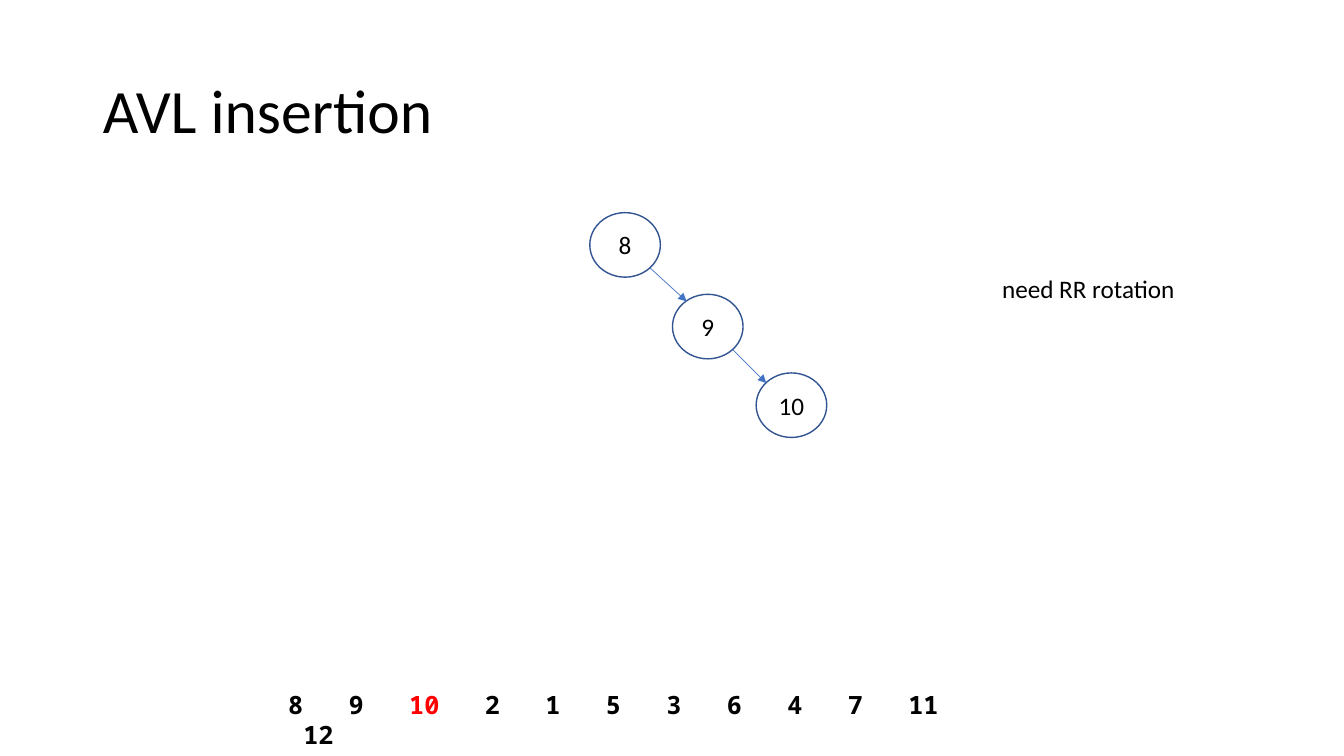
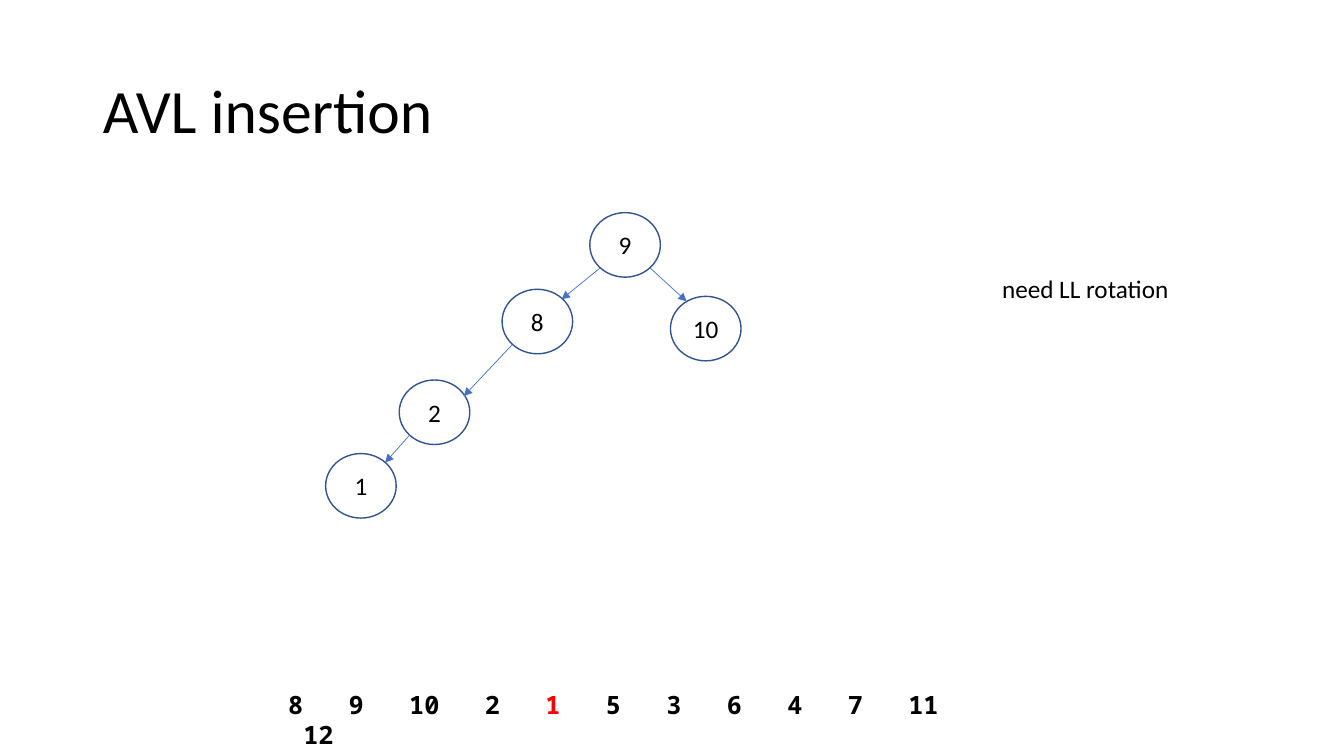
"""Build two slides that show the rotations needed during AVL insertion."""
from lxml.etree import SubElement
from pptx import Presentation
from pptx.dml.color import RGBColor
from pptx.enum.shapes import MSO_CONNECTOR, MSO_SHAPE
from pptx.enum.text import MSO_ANCHOR, MSO_AUTO_SIZE, PP_ALIGN
from pptx.oxml.ns import qn
from pptx.util import Inches, Pt

BLACK = RGBColor(0x00, 0x00, 0x00)
RED = RGBColor(0xFF, 0x00, 0x00)
OUTLINE = RGBColor(0x32, 0x54, 0x91)
ARROW = RGBColor(0x44, 0x72, 0xC4)
BODY_FONT = "Calibri"
CODE_FONT = "Noto Sans Mono"

NODE_W, NODE_H = 0.7, 0.64
EDGE_DX, EDGE_DY = 0.25, 0.23
CHAR_W = 0.15
GAP_CHARS = 3
FIRST_ROW = ["8", "9", "10", "2", "1", "5", "3", "6", "4", "7", "11"]
LAST_KEY = "12"

STEPS = [
    {
        "inserted": "10",
        "rotation": "need RR rotation",
        "nodes": {"8": (5.85, 2.11), "9": (6.67, 2.92), "10": (7.5, 3.7)},
        "arrows": [("8", (6.81, 2.99)), ("9", (7.6, 3.8))],
    },
    {
        "inserted": "1",
        "rotation": "need LL rotation",
        "nodes": {"9": (5.85, 2.11), "8": (4.98, 2.87), "10": (6.65, 2.94),
                  "2": (3.96, 3.77), "1": (3.23, 4.5)},
        "arrows": [("9", (6.81, 2.99)), ("9", (5.57, 2.97)),
                   ("8", (4.6, 3.93)), ("2", (3.82, 4.59))],
    },
]


def style_runs(paragraph, size=18, name=BODY_FONT, bold=False):
    for run in paragraph.runs:
        run.font.size = Pt(size)
        run.font.name = name
        run.font.bold = bold
        run.font.color.rgb = BLACK


def add_text_box(slide, left, top, width, height):
    frame = slide.shapes.add_textbox(
        Inches(left), Inches(top), Inches(width), Inches(height)).text_frame
    frame.word_wrap = True
    return frame


prs = Presentation()
prs.slide_width, prs.slide_height = Inches(13.33), Inches(7.5)
title_only = prs.slide_layouts[5]
layout_title = title_only.placeholders[0]
layout_title.left, layout_title.top = Inches(0.92), Inches(0.4)
layout_title.width, layout_title.height = Inches(11.5), Inches(1.45)

for step in STEPS:
    slide = prs.slides.add_slide(title_only)

    heading = slide.shapes.title.text_frame
    heading.text = "AVL insertion"
    heading.vertical_anchor = MSO_ANCHOR.MIDDLE
    heading.auto_size = MSO_AUTO_SIZE.NONE
    heading.paragraphs[0].alignment = PP_ALIGN.LEFT
    heading.paragraphs[0].line_spacing = 0.9
    style_runs(heading.paragraphs[0], 44)

    sequence = add_text_box(slide, 2.76, 6.79, 6.81, 0.4)
    first_row = sequence.paragraphs[0]
    tab_stops = SubElement(first_row._p.get_or_add_pPr(), qn("a:tabLst"))
    position = 0
    for index, key in enumerate(FIRST_ROW):
        if index:
            SubElement(tab_stops, qn("a:tab"),
                       pos=str(Inches(position)), algn="l")
            first_row.add_run().text = "\t"
        first_row.add_run().text = key
        position += (len(key) + GAP_CHARS) * CHAR_W
    last_row = sequence.add_paragraph()
    last_row.text = LAST_KEY
    last_row._p.get_or_add_pPr().set("marL", str(Inches(CHAR_W)))
    for row in sequence.paragraphs:
        style_runs(row, name=CODE_FONT, bold=True)
        for run in row.runs:
            if run.text == step["inserted"]:
                run.font.color.rgb = RED

    for key, (left, top) in step["nodes"].items():
        node = slide.shapes.add_shape(
            MSO_SHAPE.OVAL, Inches(left), Inches(top),
            Inches(NODE_W), Inches(NODE_H))
        node.shadow.inherit = False
        node.fill.background()
        node.line.color.rgb = OUTLINE
        node.line.width = Pt(1)
        label = node.text_frame
        label.text = key
        label.vertical_anchor = MSO_ANCHOR.MIDDLE
        label.paragraphs[0].alignment = PP_ALIGN.CENTER
        style_runs(label.paragraphs[0])

    for parent, (tip_x, tip_y) in step["arrows"]:
        left, top = step["nodes"][parent]
        center_x, center_y = left + NODE_W / 2, top + NODE_H / 2
        start_x = center_x + (EDGE_DX if tip_x > center_x else -EDGE_DX)
        arrow = slide.shapes.add_connector(
            MSO_CONNECTOR.STRAIGHT, Inches(start_x),
            Inches(center_y + EDGE_DY), Inches(tip_x), Inches(tip_y))
        arrow.line.color.rgb = ARROW
        arrow.line.width = Pt(0.5)
        SubElement(arrow.line._get_or_add_ln(), qn("a:tailEnd"),
                   type="triangle")
        SubElement(arrow._element.spPr, qn("a:effectLst"))

    remark = add_text_box(slide, 9.84, 2.66, 2.81, 0.4)
    remark.text = step["rotation"]
    style_runs(remark.paragraphs[0])

prs.save("out.pptx")
